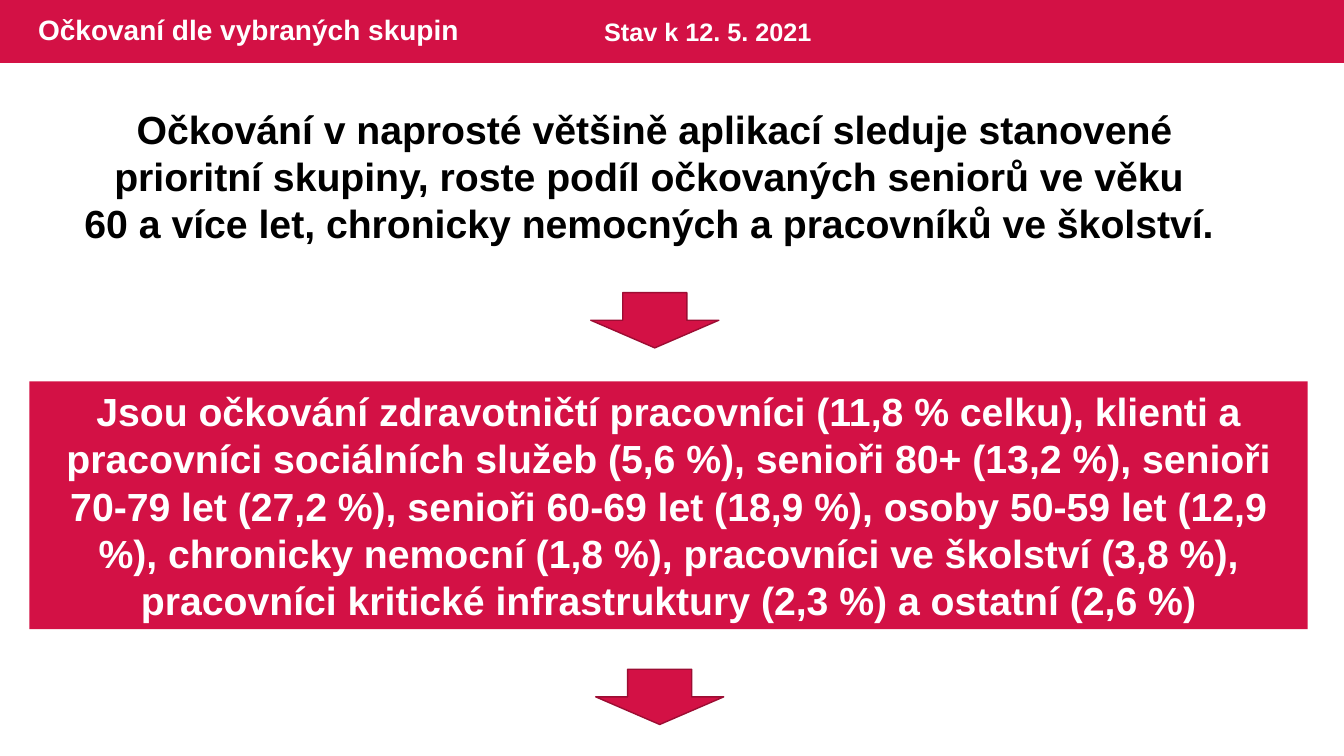
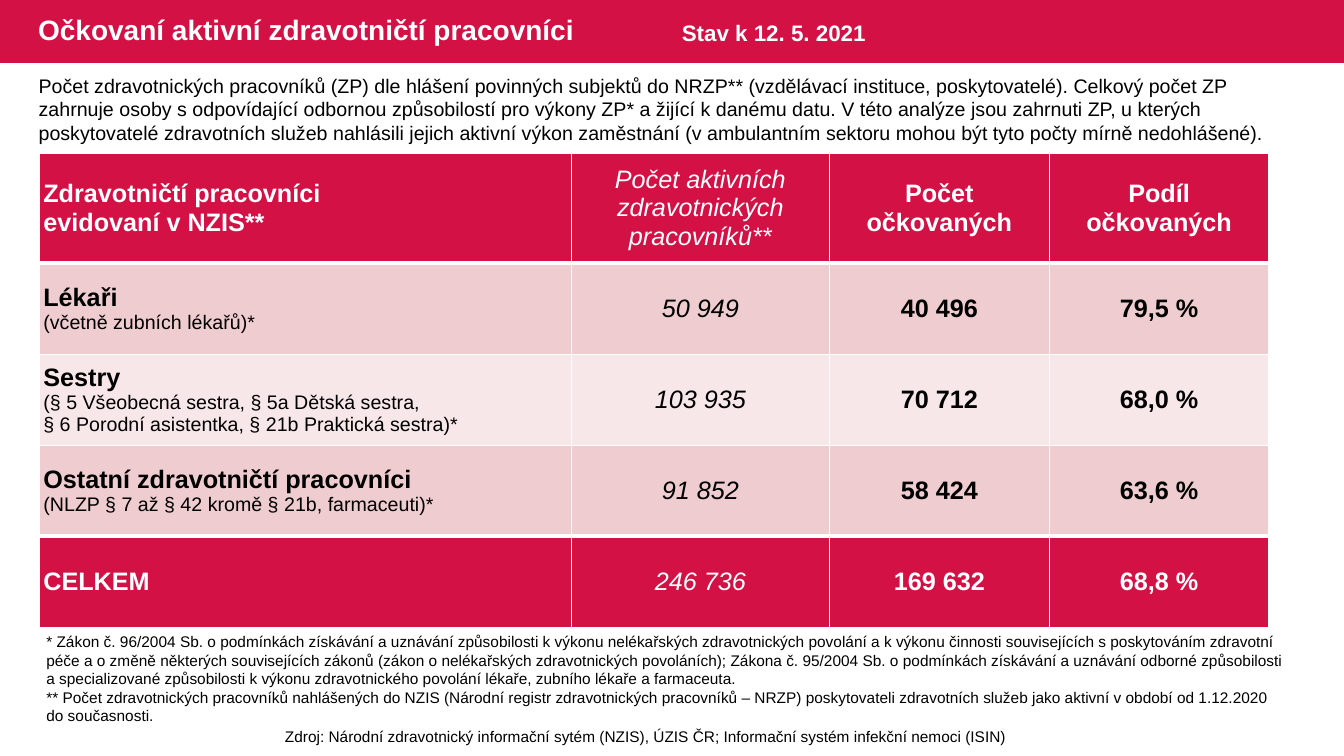
from dataclasses import dataclass

from lxml import etree
from pptx import Presentation
from pptx.dml.color import RGBColor
from pptx.enum import shapes, text
from pptx.oxml import ns
from pptx.util import Pt


@dataclass(frozen=True)
class Theme:
    font: str = "Arial"
    crimson: RGBColor = RGBColor(0xD3, 0x11, 0x45)
    outline: RGBColor = RGBColor(0x9C, 0x0D, 0x33)
    rose: RGBColor = RGBColor(0xEF, 0xCC, 0xCF)
    blush: RGBColor = RGBColor(0xF7, 0xE7, 0xE9)
    white: RGBColor = RGBColor(0xFF, 0xFF, 0xFF)
    black: RGBColor = RGBColor(0, 0, 0)
    statement: int = 28
    title: int = 20
    heading: int = 18
    date: int = 16
    body: int = 14
    note: int = 11


theme = Theme()
LEFT, CENTER = text.PP_ALIGN.LEFT, text.PP_ALIGN.CENTER


def write(frame, lines, color, align=LEFT):
    """Fill a frame with one paragraph per (text, size, bold, italic) line."""
    frame.word_wrap = True
    for index, (words, size, bold, italic) in enumerate(lines):
        paragraph = frame.add_paragraph() if index else frame.paragraphs[0]
        paragraph.alignment = align
        run = paragraph.add_run()
        run.text = words
        font = run.font
        font.name, font.size, font.bold, font.italic = theme.font, Pt(size), bold, italic
        font.color.rgb = color


def add_block(slide, kind, box, fill, line=None):
    block = slide.shapes.add_shape(kind, *map(Pt, box))
    block.shadow.inherit = False
    block.fill.solid()
    block.fill.fore_color.rgb = fill
    if line is None:
        block.line.fill.background()
    else:
        block.line.color.rgb = line
        block.line.width = Pt(1)
    return block


prs = Presentation()
prs.slide_width, prs.slide_height = Pt(960), Pt(540)
layout = prs.slide_layouts[5]
layout_title = layout.placeholders[0]
layout_title.left, layout_title.top = Pt(20), Pt(0)
layout_title.width, layout_title.height = Pt(585), Pt(45)

titles = ["Očkovaní dle vybraných skupin", "Očkovaní aktivní zdravotničtí pracovníci"]
groups, workers = [prs.slides.add_slide(layout) for _ in titles]
for slide, words in zip((groups, workers), titles):
    frame = slide.shapes.title.text_frame
    frame.vertical_anchor = text.MSO_ANCHOR.MIDDLE
    write(frame, [(words, theme.title, True, False)], theme.white)
    frame.paragraphs[0].line_spacing = 0.9

# The band belongs to the layout, behind its title
band = add_block(groups, shapes.MSO_SHAPE.RECTANGLE, (0, 0, 960, 45), theme.crimson)
layout.shapes.element.insert(2, band.element)

# Text boxes of both slides
status = "Stav k 12. 5. 2021"
priorities = [
    "Očkování v naprosté většině aplikací sleduje stanovené prioritní skupiny, "
    "roste podíl očkovaných seniorů ve věku ",
    "60 a více let, chronicky nemocných a pracovníků ve školství. ",
]
source = [
    "Zdroj: Národní zdravotnický informační sytém (NZIS), ÚZIS ČR; "
    "Informační systém infekční nemoci (ISIN) "
]
footnotes = [
    "* Zákon č. 96/2004 Sb. o podmínkách získávání a uznávání způsobilosti k výkonu "
    "nelékařských zdravotnických povolání a k výkonu činnosti souvisejících s poskytováním "
    "zdravotní péče a o změně některých souvisejících zákonů (zákon o nelékařských "
    "zdravotnických povoláních); Zákona č. 95/2004 Sb. o podmínkách získávání a uznávání "
    "odborné způsobilosti a specializované způsobilosti k výkonu zdravotnického povolání "
    "lékaře, zubního lékaře a farmaceuta.",
    "** Počet zdravotnických pracovníků nahlášených do NZIS (Národní registr zdravotnických "
    "pracovníků – NRZP) poskytovateli zdravotních služeb jako aktivní v období od 1.12.2020 "
    "do současnosti.",
]
method = [
    "Počet zdravotnických pracovníků (ZP) dle hlášení povinných subjektů do NRZP** "
    "(vzdělávací instituce, poskytovatelé). Celkový počet ZP zahrnuje osoby s odpovídající "
    "odbornou způsobilostí pro výkony ZP* a žijící k danému datu. V této analýze jsou "
    "zahrnuti ZP, u kterých poskytovatelé zdravotních služeb nahlásili jejich aktivní výkon "
    "zaměstnání (v ambulantním sektoru mohou být tyto počty mírně nedohlášené)."
]
for slide, box, lines, size, bold, color, align in [
    (groups, (424.5, 8, 213, 29), [status], theme.heading, True, theme.white, LEFT),
    (groups, (50.5, 71.5, 834, 109), priorities, theme.statement, True, theme.black, CENTER),
    (workers, (137, 516, 652, 21), source, theme.note, False, theme.black, CENTER),
    (workers, (26, 448, 902, 74), footnotes, theme.note, False, theme.black, LEFT),
    (workers, (20.5, 49, 910, 58), method, theme.body, False, theme.black, LEFT),
    (workers, (480, 10, 158, 27), [status], theme.date, True, theme.white, LEFT),
]:
    frame = slide.shapes.add_textbox(*map(Pt, box)).text_frame
    write(frame, [(words, size, bold, False) for words in lines], color, align)

# Slide 1: arrows around the group shares
for left, top in [(422, 209), (425.5, 478)]:
    add_block(groups, shapes.MSO_SHAPE.DOWN_ARROW, (left, top, 91.5, 39.5),
              theme.crimson, theme.outline)
shares = (
    "Jsou očkování zdravotničtí pracovníci (11,8 % celku), klienti a pracovníci sociálních "
    "služeb (5,6 %), senioři 80+ (13,2 %), senioři 70-79 let (27,2 %), senioři 60-69 let "
    "(18,9 %), osoby 50-59 let (12,9 %), chronicky nemocní (1,8 %), pracovníci ve školství "
    "(3,8 %), pracovníci kritické infrastruktury (2,3 %) a ostatní (2,6 %)"
)
panel = add_block(groups, shapes.MSO_SHAPE.RECTANGLE, (21, 272.5, 913, 177), theme.crimson)
write(panel.text_frame, [(shares, theme.statement, True, False)], theme.white, CENTER)

# Slide 2: table of vaccinated workers
rows = [
    (["Zdravotničtí pracovníci", "evidovaní v NZIS**"],
     "Počet aktivních zdravotnických pracovníků**", "Počet očkovaných", "Podíl očkovaných"),
    (["Lékaři", "(včetně zubních lékařů)*"], "50 949", "40 496", "79,5 %"),
    (["Sestry", "(§ 5 Všeobecná sestra, § 5a Dětská sestra,",
      "§ 6 Porodní asistentka, § 21b Praktická sestra)*"], "103 935", "70 712", "68,0 %"),
    (["Ostatní zdravotničtí pracovníci", "(NLZP § 7 až § 42 kromě § 21b, farmaceuti)*"],
     "91 852", "58 424", "63,6 %"),
    (["CELKEM"], "246 736", "169 632", "68,8 %"),
]
widths, heights = [380, 184.5, 157, 157], [78.5, 65, 65, 65, 65]
last = len(rows) - 1
table = workers.shapes.add_table(len(rows), len(widths), Pt(28), Pt(109.5),
                                 Pt(sum(widths)), Pt(sum(heights))).table
for column, width in zip(table.columns, widths):
    column.width = Pt(width)
for r, (group, *figures) in enumerate(rows):
    table.rows[r].height = Pt(heights[r])
    strong = r in (0, last)
    fill = theme.crimson if strong else (theme.blush, theme.rose)[r % 2]
    color = theme.white if strong else theme.black
    rules = {"lnL": 1, "lnR": 1, "lnT": 3 if r in (1, last) else 1,
             "lnB": 3 if r in (0, last - 1) else 1}
    for c, content in enumerate([group, *figures]):
        cell = table.cell(r, c)
        cell.vertical_anchor = text.MSO_ANCHOR.MIDDLE
        side = 3 if c == 0 or r == 0 else 1
        cell.margin_left = cell.margin_right = Pt(side)
        cell.margin_top = cell.margin_bottom = Pt(0)
        if c == 0:
            lines = [(words, theme.heading, True, False) if strong or i == 0
                     else (words, theme.body, False, False)
                     for i, words in enumerate(content)]
        else:
            lines = [(content, theme.heading, c > 1, c == 1)]
        write(cell.text_frame, lines, color, CENTER if c else LEFT)
        properties = cell._tc.get_or_add_tcPr()
        for tag, weight in rules.items():
            rule = etree.SubElement(properties, ns.qn(f"a:{tag}"), w=str(Pt(weight)))
            paint = etree.SubElement(rule, ns.qn("a:solidFill"))
            etree.SubElement(paint, ns.qn("a:srgbClr"), val=str(theme.white))
        cell.fill.solid()
        cell.fill.fore_color.rgb = fill

prs.save("out.pptx")
